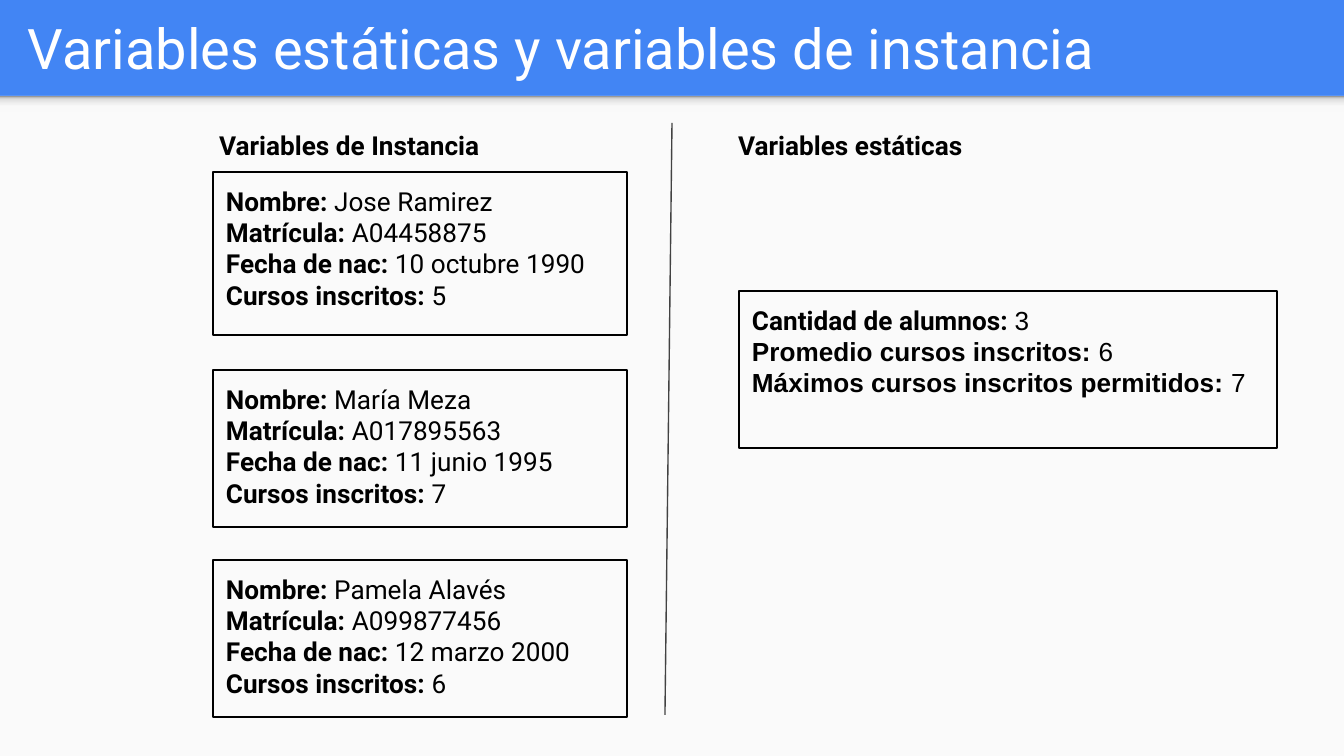
from lxml import etree
from pptx import Presentation
from pptx.dml.color import RGBColor
from pptx.enum.shapes import MSO_CONNECTOR, MSO_SHAPE
from pptx.enum.text import MSO_ANCHOR, PP_ALIGN
from pptx.oxml.ns import qn
from pptx.util import Pt

RECT = MSO_SHAPE.RECTANGLE
STRAIGHT = MSO_CONNECTOR.STRAIGHT
LEFT = PP_ALIGN.LEFT
TOP, MIDDLE = MSO_ANCHOR.TOP, MSO_ANCHOR.MIDDLE

PX = 914400 / 134.4
COLORS = {
    "header": "4285F4", "body": "FAFAFA", "title": "FFFFFF",
    "text": "000000", "divider": "424242",
    "shade_light": "F9F9F9", "shade_mid": "DEDEDE", "shade_dark": "999999",
}


def px(*lengths):
    return [round(n * PX) for n in lengths]


def write_text(s, lines, size=14, color="text", anchor=TOP):
    """Fill a shape with lines, each a list of (text, bold, font) runs."""
    tf = s.text_frame
    tf.word_wrap = True
    tf.vertical_anchor = anchor
    tf.margin_left = tf.margin_right = tf.margin_top = tf.margin_bottom = px(13)[0]
    for i, line in enumerate(lines):
        p = tf.add_paragraph() if i else tf.paragraphs[0]
        p.alignment = LEFT
        for text, bold, font in line:
            r = p.add_run()
            r.text = text
            r.font.name = font
            r.font.size = Pt(size)
            r.font.bold = bold
            r.font.color.rgb = RGBColor.from_string(COLORS[color])


prs = Presentation()
prs.slide_width, prs.slide_height = px(1344, 756)
slide = prs.slides.add_slide(prs.slide_layouts[5])
shapes = slide.shapes
slide.background.fill.solid()
slide.background.fill.fore_color.rgb = RGBColor.from_string(COLORS["header"])

# Title in the header band
title = shapes.title
title.left, title.top, title.width, title.height = px(15, 3, 1297, 89)
write_text(title, [[("Variables estáticas y variables de instancia", False, "Roboto")]],
           size=30, color="title", anchor=MIDDLE)

# Light body with a shade under the header
body = shapes.add_shape(RECT, *px(0, 96, 1344, 660))
body.fill.solid()
body.fill.fore_color.rgb = RGBColor.from_string(COLORS["body"])
shade = shapes.add_shape(RECT, *px(0, 96, 1344, 16))
shade.fill.gradient()
shade.fill.gradient_angle = 90
stops = shade.element.spPr.find(qn("a:gradFill")).find(qn("a:gsLst"))
for stop in list(stops):
    stops.remove(stop)
for percent, name in [(0, "shade_light"), (36, "shade_light"),
                      (80, "shade_mid"), (100, "shade_dark")]:
    stop = etree.SubElement(stops, qn("a:gs"), pos=str(percent * 1000))
    etree.SubElement(stop, qn("a:srgbClr"), val=COLORS[name])
for s in (body, shade):
    s.line.fill.background()
    s.shadow.inherit = False

# Column headings and the divider between them
for text, left, height in [("Variables de Instancia", 206, 36),
                           ("Variables estáticas", 725, 51)]:
    heading = shapes.add_textbox(*px(left, 116, 370, height))
    write_text(heading, [[(text, True, "Roboto")]])

divider = shapes.add_connector(STRAIGHT, *px(672, 123, 665, 715))
divider.line.color.rgb = RGBColor.from_string(COLORS["divider"])
divider.line.width = Pt(0.75)
etree.SubElement(divider.element.spPr, qn("a:effectLst"))

# One box per student, and one for the values they share
LABELS = ["Nombre: ", "Matrícula: ", "Fecha de nac: ", "Cursos inscritos: "]
STUDENTS = [
    (172, 163, ["Jose Ramirez", "A04458875", "10 octubre 1990", "5"]),
    (370, 157, ["María Meza", "A017895563", "11 junio 1995", "7"]),
    (560, 157, ["Pamela Alavés", "A099877456", "12 marzo 2000", "6"]),
]
boxes = []
for top, height, values in STUDENTS:
    lines = [[(label, True, "Roboto"), (value, False, "Roboto")]
             for label, value in zip(LABELS, values)]
    boxes.append(((213, top, 414, height), lines))
boxes.append(((739, 291, 538, 157), [
    [("Cantidad de alumnos: ", True, "Roboto"), ("3", False, "Arial")],
    [("Promedio cursos inscritos: ", True, "Arial"), ("6", False, "Arial")],
    [("Máximos cursos inscritos permitidos: ", True, "Arial"), ("7", False, "Arial")],
]))

for place, lines in boxes:
    box = shapes.add_shape(RECT, *px(*place))
    box.fill.background()
    box.line.color.rgb = RGBColor.from_string(COLORS["text"])
    box.line.width = Pt(0.75)
    box.shadow.inherit = False
    write_text(box, lines)

prs.save("out.pptx")
